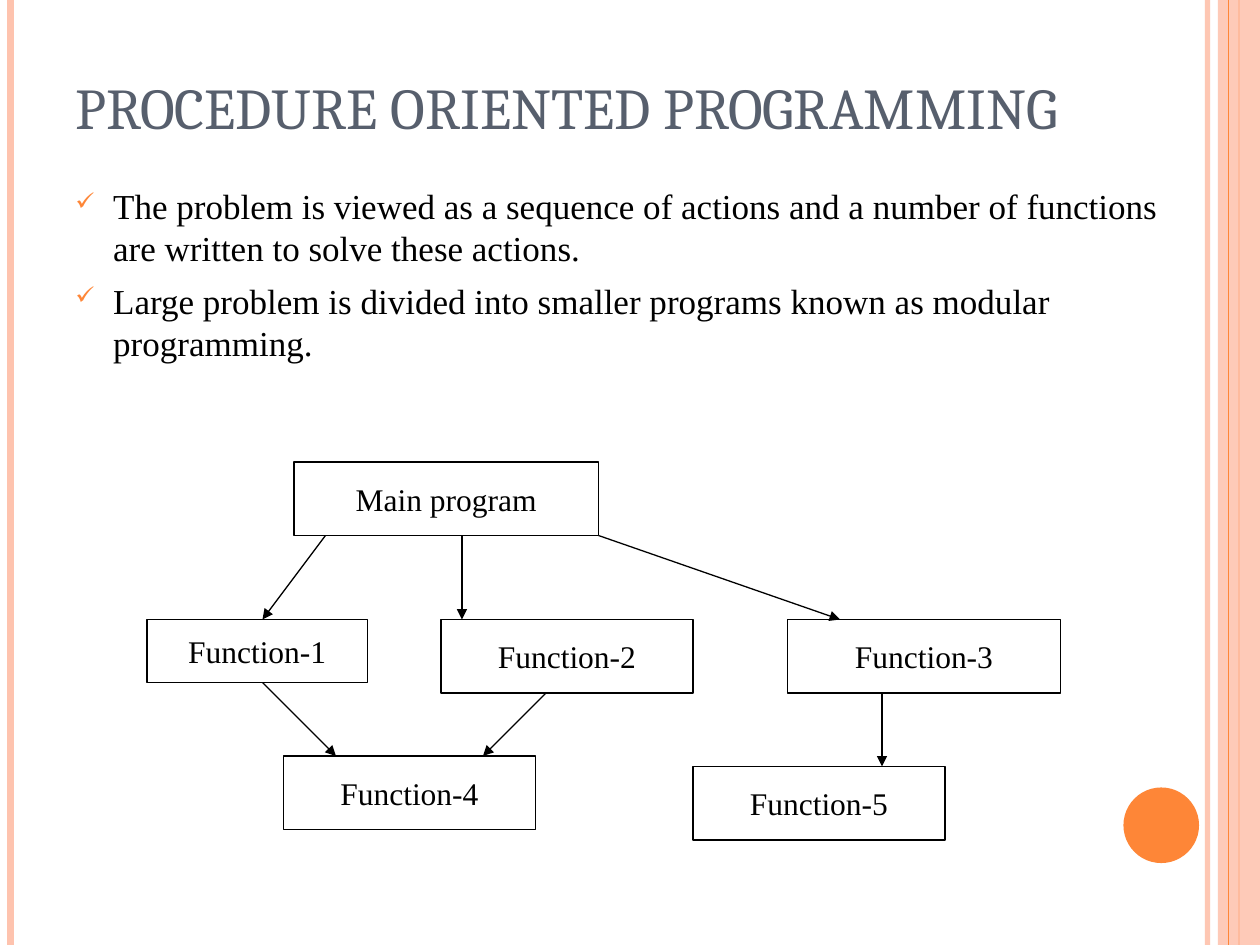
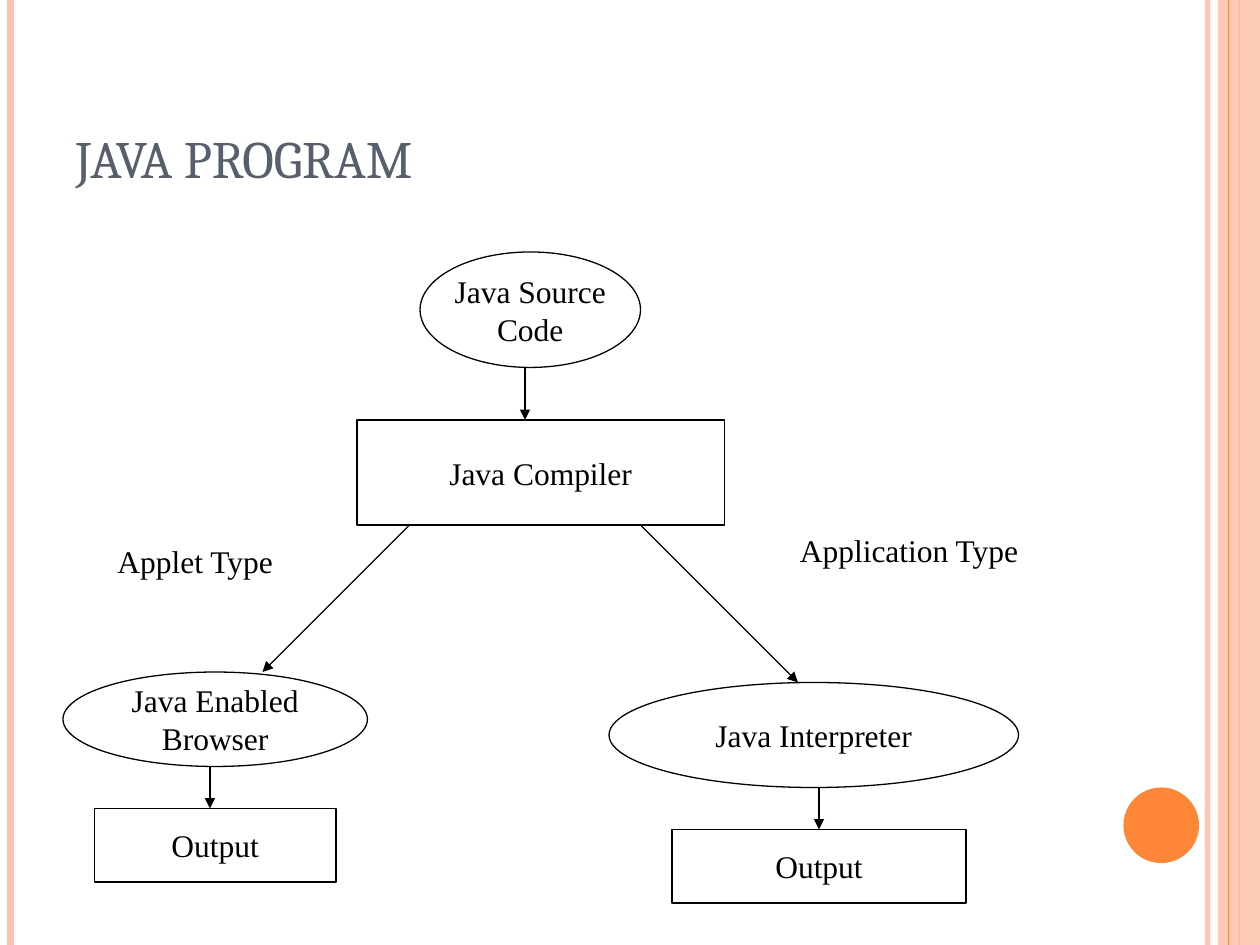
"""Build two slides with flow diagrams on a grid of 120 columns by 90 rows."""
from lxml import etree
from pptx import Presentation
from pptx.dml.color import RGBColor
from pptx.enum.shapes import MSO_CONNECTOR, MSO_SHAPE
from pptx.enum.text import MSO_ANCHOR, MSO_AUTO_SIZE, PP_ALIGN
from pptx.oxml.ns import qn
from pptx.util import Inches, Pt

STRAIGHT = MSO_CONNECTOR.STRAIGHT
RECTANGLE, OVAL = MSO_SHAPE.RECTANGLE, MSO_SHAPE.OVAL
TOP, MIDDLE, BOTTOM = MSO_ANCHOR.TOP, MSO_ANCHOR.MIDDLE, MSO_ANCHOR.BOTTOM
LEFT, CENTER = PP_ALIGN.LEFT, PP_ALIGN.CENTER
FIXED = MSO_AUTO_SIZE.NONE

COLUMNS, ROWS = 120, 90
ORANGE, PEACH, SLATE = "FE8637", "FEC3AE", "575F6D"
BLACK, WHITE = "000000", "FFFFFF"
TITLE_FONT, BODY_FONT = "Cambria", "Times New Roman"
TITLE_ONLY = 5
SIDE_TOP, SIDE_BOTTOM = 0, 2
RULE = "rule"


def color(value):
    """Turn a hex string into a colour."""
    return RGBColor.from_string(value)


def write(box, text, size=18, font=BODY_FONT, ink=BLACK, align=LEFT,
          anchor=TOP, wrap=True, gap=0, leading=None, bullet=None):
    """Write one paragraph per line of text into a box."""
    frame = box.text_frame
    frame.auto_size = FIXED
    frame.word_wrap = wrap
    frame.vertical_anchor = anchor
    for index, line in enumerate(text.split("\n")):
        para = frame.add_paragraph() if index else frame.paragraphs[0]
        if bullet:
            properties = para._p.get_or_add_pPr()
            properties.set("marL", str(Inches(0.3)))
            properties.set("indent", str(-Inches(0.3)))
            tint = etree.SubElement(properties, qn("a:buClr"))
            etree.SubElement(tint, qn("a:srgbClr"), val=ORANGE)
            etree.SubElement(properties, qn("a:buSzPct"), val="70000")
            etree.SubElement(properties, qn("a:buChar"), char=bullet)
        para.alignment = align
        if index and gap:
            para.space_before = Pt(gap)
        if leading:
            para.line_spacing = Pt(leading)
        span = para.add_run()
        span.text = line
        span.font.size = Pt(size)
        span.font.name = font
        span.font.color.rgb = color(ink)


# kind, place on the grid, colour, line width, opacity in percent
DECORATION = [
    (RULE, (115, 0, 115, ROWS), PEACH, 3, 93),
    (RULE, (1, 0, 1, ROWS), PEACH, 4.5, 100),
    (RULE, (118, 0, 118, ROWS), ORANGE, 1.5, 100),
    (RECTANGLE, (116, 0, 4, ROWS), PEACH, 0, 87),
    (RULE, (117, 0, 117, ROWS), ORANGE, 0.75, 100),
    (OVAL, (107, 75, 7.2, 7.2), ORANGE, 0, 100),
]

PAGES = [
    {
        "title": ("PROCEDURE ORIENTED PROGRAMMING", 33, (6, 6, 109, 8)),
        "bullets": "The problem is viewed as a sequence of actions and a number of "
                   "functions are written to solve these actions.\n"
                   "Large problem is divided into smaller programs known as "
                   "modular programming.",
        "nodes": [
            (RECTANGLE, "Main program", (28, 44, 29, 7)),
            (RECTANGLE, "Function-1", (14, 59, 21, 6)),
            (RECTANGLE, "Function-2", (42, 59, 24, 7)),
            (RECTANGLE, "Function-3", (75, 59, 26, 7)),
            (RECTANGLE, "Function-4", (27, 72, 24, 7)),
            (RECTANGLE, "Function-5", (66, 73, 24, 7)),
        ],
        "labels": [],
        "arrows": [(31, 51, 25, 59), (44, 51, 44, 59), (57, 51, 80, 59),
                   (25, 65, 32, 72), (52, 66, 46, 72), (84, 66, 84, 73)],
    },
    {
        "title": ("JAVA PROGRAM", 30, (6, 3.6, 98, 15)),
        "bullets": "",
        "nodes": [
            (OVAL, "Java Source\nCode", (40, 24, 21, 11)),
            (RECTANGLE, "Java Compiler", (34, 40, 35, 10)),
            (OVAL, "Java Enabled\nBrowser", (6, 64, 29, 9)),
            (OVAL, "Java Interpreter", (58, 65, 39, 10)),
            (RECTANGLE, "Output", (9, 77, 23, 7)),
            (RECTANGLE, "Output", (64, 79, 28, 7)),
        ],
        "labels": [("Application Type", (75, 50, 31, 4.8)),
                   ("Applet Type", (10, 51, 19, 4.8))],
        "arrows": [(50, 35, 50, 40), (39, 50, 25, 64), (61, 50, 76, 65),
                   (20, 73, 20, 77), (78, 75, 78, 79)],
    },
]

deck = Presentation()
deck.slide_width, deck.slide_height = Inches(10), Inches(7.5)
unit = deck.slide_width // COLUMNS
layout = deck.slide_layouts[TITLE_ONLY]
connectors = []

for placeholder in list(layout.placeholders):
    if placeholder.placeholder_format.idx:
        placeholder.element.getparent().remove(placeholder.element)

pages = [deck.slides.add_slide(layout) for _ in PAGES]

# The decoration is drawn once and moved to the shared layout.
for kind, place, tint, width, opacity in DECORATION:
    place = [int(unit * length) for length in place]
    if kind is RULE:
        item = pages[0].shapes.add_connector(STRAIGHT, *place)
        item.line.color.rgb = color(tint)
        item.line.width = Pt(width)
        connectors.append(item)
    else:
        item = pages[0].shapes.add_shape(kind, *place)
        item.shadow.inherit = False
        item.fill.solid()
        item.fill.fore_color.rgb = color(tint)
        item.line.fill.background()
    if opacity < 100:
        paint = item.element.xpath(".//a:srgbClr")[0]
        etree.SubElement(paint, qn("a:alpha"), val=str(opacity * 1000))
    layout.shapes.element.append(item.element)

for page, content in zip(pages, PAGES):
    text, size, place = content["title"]
    title = page.shapes.title
    title.left, title.top, title.width, title.height = [
        int(unit * length) for length in place]
    write(title, text, size=size, font=TITLE_FONT, ink=SLATE, anchor=BOTTOM)

    if content["bullets"]:
        body = page.shapes.add_textbox(unit * 6, unit * 17, unit * 108, unit * 60)
        write(body, content["bullets"], size=20, gap=6, leading=24, bullet="✓")

    boxes = []
    for kind, text, place in content["nodes"]:
        node = page.shapes.add_shape(kind, *[unit * length for length in place])
        node.shadow.inherit = False
        node.fill.solid()
        node.fill.fore_color.rgb = color(WHITE)
        node.line.color.rgb = color(BLACK)
        node.line.width = Pt(0.75)
        write(node, text, align=CENTER, anchor=MIDDLE, wrap=False)
        if kind == RECTANGLE:
            boxes.append((node, place))

    for text, place in content["labels"]:
        label = page.shapes.add_textbox(*[int(unit * length) for length in place])
        write(label, text)

    for ends in content["arrows"]:
        arrow = page.shapes.add_connector(
            STRAIGHT, *[unit * length for length in ends])
        arrow.line.color.rgb = color(BLACK)
        arrow.line.width = Pt(0.75)
        outline = arrow.element.spPr.find(qn("a:ln"))
        etree.SubElement(outline, qn("a:tailEnd"), type="triangle")
        connectors.append(arrow)
        for node, (left, top, width, height) in boxes:
            center = left + width / 2
            if ends[:2] == (center, top + height):
                arrow.begin_connect(node, SIDE_BOTTOM)
            if ends[2:] == (center, top):
                arrow.end_connect(node, SIDE_TOP)

for connector in connectors:
    etree.SubElement(connector.element.spPr, qn("a:effectLst"))

deck.save("out.pptx")
